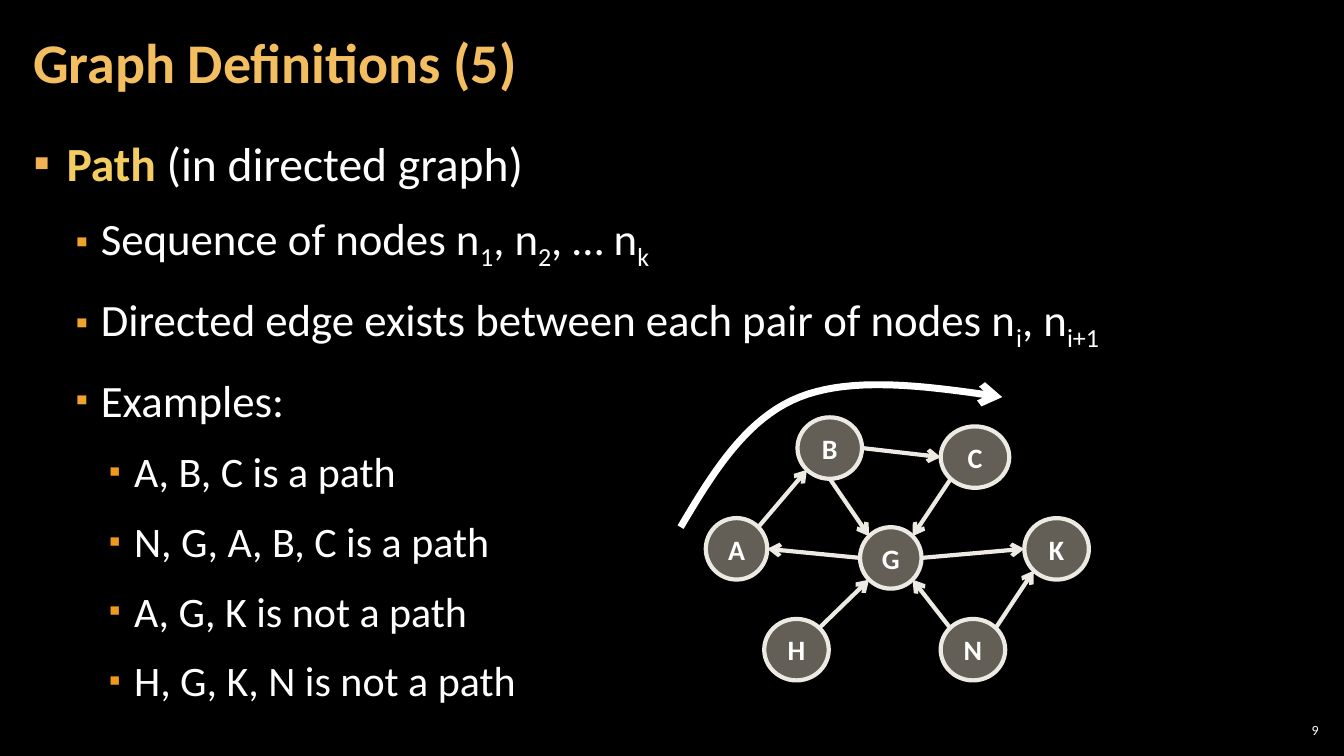
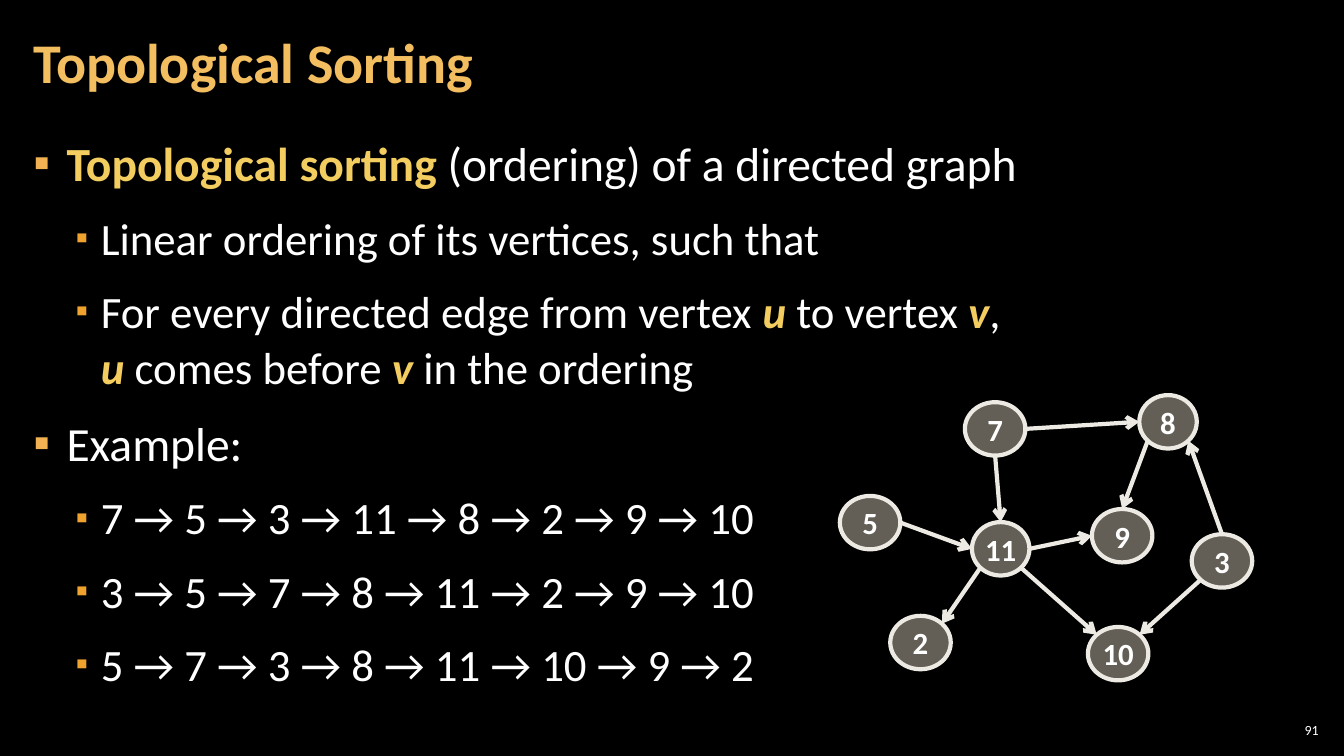
from math import cos, pi, sin

from lxml import etree
from pptx import Presentation
from pptx.dml.color import RGBColor
from pptx.enum.shapes import MSO_CONNECTOR, MSO_SHAPE
from pptx.enum.text import MSO_ANCHOR, MSO_AUTO_SIZE, PP_ALIGN
from pptx.oxml.ns import qn
from pptx.util import Inches, Pt

STRAIGHT = MSO_CONNECTOR.STRAIGHT
ELLIPSE = MSO_SHAPE.OVAL
TOP, MIDDLE = MSO_ANCHOR.TOP, MSO_ANCHOR.MIDDLE
LEFT, CENTER, RIGHT = PP_ALIGN.LEFT, PP_ALIGN.CENTER, PP_ALIGN.RIGHT
NO_AUTOFIT = MSO_AUTO_SIZE.NONE

BLACK = RGBColor(0x00, 0x00, 0x00)
WHITE = RGBColor(0xFF, 0xFF, 0xFF)
TITLE_GOLD = RGBColor(0xF3, 0xBE, 0x60)
KEY_GOLD = RGBColor(0xF3, 0xCD, 0x60)
NODE_FILL = RGBColor(0xC7, 0xBF, 0xAC)
NODE_LINE = RGBColor(0xEC, 0xEA, 0xE3)
FONT = "Calibri"

TITLE_AREA = (0.21, 0.04, 10.47, 1.21)
BODY_AREA = (0.21, 1.26, 12.91, 6.09)
NUMBER_AREA = (12.65, 7.14, 0.47, 0.21)

# Per list level: text size, left margin, hanging indent, bullet colour, bullet size
LEVELS = [
    (34, 0.33, 0.33, "F2B254", 100),
    (32, 0.67, 0.25, "F0A22E", 80),
    (30, 1.00, 0.25, "EF9A1D", 80),
]

PLAIN = {"bold": False, "italic": False}
SPAN_STYLES = {
    "plain": (WHITE, PLAIN),
    "sub": (WHITE, PLAIN),
    "key": (KEY_GOLD, {"bold": True, "italic": False}),
    "variable": (KEY_GOLD, {"bold": True, "italic": True}),
}

# The eight connection sites of an ellipse, counter-clockwise from the top
SITES = ["top", "top left", "left", "bottom left",
         "bottom", "bottom right", "right", "top right"]

# List items are (level, spans); a span is plain text or (text, style)
SLIDES = [
    {
        "title": "Graph Definitions (5)",
        "number": "9",
        "items": [
            (0, [("Path", "key"), " (in directed graph)"]),
            (1, ["Sequence of nodes n", ("1", "sub"), ", n", ("2", "sub"),
                 ", … n", ("k", "sub")]),
            (1, ["Directed edge exists between each pair of nodes n",
                 ("i", "sub"), ", n", ("i+1", "sub")]),
            (1, ["Examples:"]),
            (2, ["A, B, C is a path"]),
            (2, ["N, G, A, B, C is a path"]),
            (2, ["A, G, K is not a path"]),
            (2, ["H, G, K, N is not a path"]),
        ],
        "node_height": 0.61,
        "node_size": 20,
        "nodes": {  # left, top, width
            "G": (8.53, 5.23, 0.61), "C": (9.33, 4.23, 0.68),
            "B": (7.91, 4.14, 0.64), "A": (7.00, 5.14, 0.61),
            "H": (7.58, 6.14, 0.64), "N": (9.33, 6.14, 0.64),
            "K": (10.16, 5.14, 0.64),
        },
        "edges": [
            ("C", "bottom left", "G", "top right"),
            ("B", "right", "C", "left"),
            ("B", "bottom", "G", "top left"),
            ("G", "left", "A", "right"),
            ("A", "top right", "B", "bottom left"),
            ("H", "top right", "G", "bottom left"),
            ("N", "top left", "G", "bottom right"),
            ("G", "right", "K", "left"),
            ("N", "top right", "K", "bottom left"),
        ],
        "path_curves": [
            [(6.75, 5.23), (7.07, 4.69), (7.40, 4.15), (7.93, 3.94)],
            [(7.93, 3.94), (8.46, 3.73), (9.20, 3.83), (9.94, 3.94)],
        ],
    },
    {
        "title": "Topological Sorting",
        "number": "91",
        "items": [
            (0, [("Topological sorting ", "key"),
                 "(ordering) of a directed graph"]),
            (1, ["Linear ordering of its vertices, such that"]),
            (1, ["For every directed edge from vertex ", ("u", "variable"),
                 " to vertex ", ("v", "variable"), ",", "\n",
                 ("u", "variable"), " comes before ", ("v", "variable"),
                 " in the ordering"]),
            (0, ["Example:"]),
            (1, ["7 → 5 → 3 → 11 → 8 → 2 → 9 → 10"]),
            (1, ["3 → 5 → 7 → 8 → 11 → 2 → 9 → 10"]),
            (1, ["5 → 7 → 3 → 8 → 11 → 10 → 9 → 2"]),
        ],
        "node_height": 0.53,
        "node_size": 22,
        "nodes": {
            "9": (10.83, 5.05, 0.60), "11": (9.64, 5.18, 0.57),
            "2": (8.83, 6.11, 0.60), "8": (11.30, 3.92, 0.57),
            "10": (10.79, 6.22, 0.60), "3": (11.82, 5.30, 0.60),
            "5": (8.33, 4.92, 0.60), "7": (9.57, 3.99, 0.60),
        },
        "edges": [
            ("11", "right", "9", "left"),
            ("11", "bottom left", "2", "top right"),
            ("3", "bottom left", "10", "top right"),
            ("8", "bottom left", "9", "top"),
            ("3", "top", "8", "bottom right"),
            ("5", "right", "11", "left"),
            ("7", "bottom", "11", "top"),
            ("7", "right", "8", "left"),
            ("11", "bottom right", "10", "top left"),
        ],
        "path_curves": [],
    },
]


def set_all(target, values):
    for name, value in values.items():
        setattr(target, name, value)


def add_element(parent, tag, **attributes):
    return etree.SubElement(parent, qn(tag), attributes)


def set_font(font, size, color, **values):
    set_all(font, {"name": FONT, "size": Pt(size), **values})
    font.color.rgb = color


def set_frame(frame, side, edge, anchor, wrap=True):
    set_all(frame, {
        "margin_left": Inches(side), "margin_right": Inches(side),
        "margin_top": Inches(edge), "margin_bottom": Inches(edge),
        "vertical_anchor": anchor, "word_wrap": wrap,
        "auto_size": NO_AUTOFIT,
    })


def place(shape, area):
    names = ("left", "top", "width", "height")
    set_all(shape, dict(zip(names, map(Inches, area))))


def write_line(frame, text, size, color, align, bold):
    para = frame.paragraphs[0]
    para.alignment = align
    span = para.add_run()
    span.text = text
    set_font(span.font, size, color, bold=bold)
    return para


def add_title(slide, text):
    title = slide.shapes.title
    place(title, TITLE_AREA)
    set_frame(title.text_frame, 0.12, 0.04, MIDDLE)
    para = write_line(title.text_frame, text, 40, TITLE_GOLD, LEFT, True)
    para.line_spacing = 0.9


def add_number(slide, text):
    box = slide.shapes.add_textbox(*map(Inches, NUMBER_AREA))
    set_frame(box.text_frame, 0.04, 0.04, MIDDLE)
    write_line(box.text_frame, text, 10, WHITE, RIGHT, False)


def set_bullet(para, level):
    _, margin, hanging, color, percent = LEVELS[level]
    properties = para._p.get_or_add_pPr()
    properties.set("marL", str(Inches(margin)))
    properties.set("indent", str(-Inches(hanging)))
    add_element(add_element(properties, "a:buClr"), "a:srgbClr", val=color)
    add_element(properties, "a:buSzPct", val=str(percent * 1000))
    add_element(properties, "a:buChar", char="▪")


def add_list(slide, items):
    body = slide.placeholders[1]
    place(body, BODY_AREA)
    frame = body.text_frame
    set_frame(frame, 0.12, 0.04, TOP)
    for index, (level, spans) in enumerate(items):
        para = frame.add_paragraph() if index else frame.paragraphs[0]
        set_bullet(para, level)
        set_all(para, {
            "level": level, "line_spacing": 1.05, "alignment": LEFT,
            "space_before": Pt(6 if index else 0), "space_after": Pt(6),
        })
        for entry in spans:
            if entry == "\n":
                para.add_line_break()
                continue
            text, style = (entry, "plain") if isinstance(entry, str) else entry
            color, values = SPAN_STYLES[style]
            span = para.add_run()
            span.text = text
            set_font(span.font, LEVELS[level][0], color, **values)
            if style == "sub":
                span._r.get_or_add_rPr().set("baseline", "-25000")


def style_line(line, color, width, arrow=False):
    line.color.rgb = color
    line.width = Pt(width)
    if arrow:
        add_element(line._get_or_add_ln(), "a:tailEnd", type="arrow")


def add_node(group, label, area, size):
    node = group.shapes.add_shape(ELLIPSE, *map(Inches, area))
    node.shadow.inherit = False
    node.fill.solid()
    node.fill.fore_color.rgb = NODE_FILL
    color = node._element.spPr.find(qn("a:solidFill"))[0]
    add_element(color, "a:alpha", val="50000")
    style_line(node.line, NODE_LINE, 3)
    set_frame(node.text_frame, 0.04, 0.05, MIDDLE, wrap=False)
    write_line(node.text_frame, label, size, WHITE, CENTER, True)
    return node


def site_point(node, site):
    """Return where a connection site lies on the node's outline."""
    angle = pi / 2 + SITES.index(site) * pi / 4
    return (round(node.left + node.width / 2 * (1 + cos(angle))),
            round(node.top + node.height / 2 * (1 - sin(angle))))


def add_edge(group, start, start_site, end, end_site):
    edge = group.shapes.add_connector(
        STRAIGHT, *site_point(start, start_site), *site_point(end, end_site))
    style_line(edge.line, NODE_LINE, 3, arrow=True)
    add_element(edge._element.spPr, "a:effectLst")
    glue = edge._element.nvCxnSpPr.cNvCxnSpPr
    for tag, node, site in (("a:stCxn", start, start_site),
                            ("a:endCxn", end, end_site)):
        add_element(glue, tag, id=str(node.shape_id),
                    idx=str(SITES.index(site)))


def add_graph(slide, content):
    group = slide.shapes.add_group_shape()
    nodes = {
        label: add_node(group, label, (*area, content["node_height"]),
                        content["node_size"])
        for label, area in content["nodes"].items()
    }
    for start, start_site, end, end_site in content["edges"]:
        add_edge(group, nodes[start], start_site, nodes[end], end_site)


def bezier_point(controls, t):
    weights = ((1 - t) ** 3, 3 * t * (1 - t) ** 2, 3 * t ** 2 * (1 - t), t ** 3)
    return tuple(Inches(sum(w * value for w, value in zip(weights, axis)))
                 for axis in zip(*controls))


def add_path_arrow(slide, curves, steps=20):
    points = [bezier_point(controls, step / steps)
              for controls in curves for step in range(1, steps + 1)]
    start = map(Inches, curves[0][0])
    builder = slide.shapes.build_freeform(*start)
    builder.add_line_segments(points, close=False)
    arrow = builder.convert_to_shape()
    arrow.shadow.inherit = False
    arrow.fill.background()
    style_line(arrow.line, WHITE, 5, arrow=True)


def main():
    deck = Presentation()
    deck.slide_width, deck.slide_height = Inches(13.33), Inches(7.5)
    background = deck.slide_master.background.fill
    background.solid()
    background.fore_color.rgb = BLACK
    for content in SLIDES:
        slide = deck.slides.add_slide(deck.slide_layouts[1])
        add_title(slide, content["title"])
        add_list(slide, content["items"])
        add_number(slide, content["number"])
        if content["path_curves"]:
            add_path_arrow(slide, content["path_curves"])
        add_graph(slide, content)
    deck.save("out.pptx")


if __name__ == "__main__":
    main()
